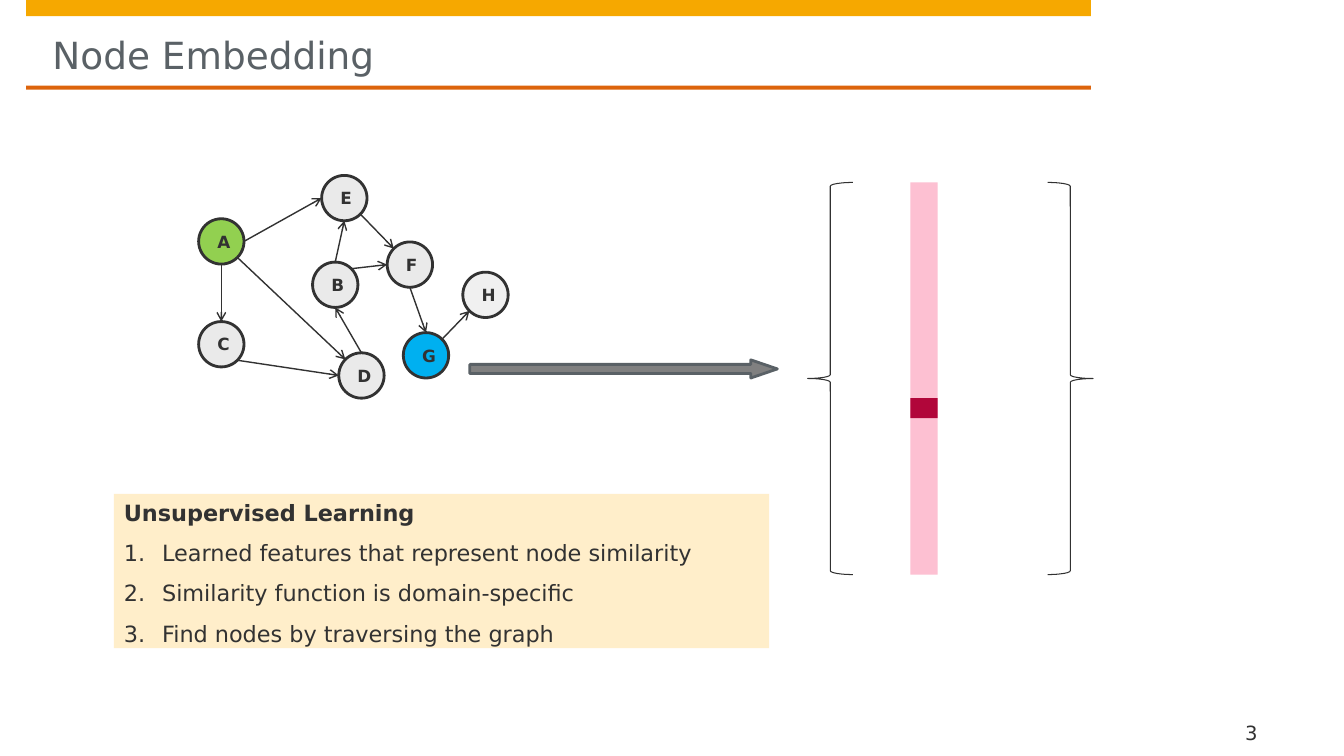
from dataclasses import dataclass

from lxml import etree
from pptx import Presentation
from pptx.dml.color import RGBColor
from pptx.enum import shapes, text
from pptx.oxml import ns
from pptx.util import Inches, Pt


@dataclass(frozen=True)
class Theme:
    font: str = "DejaVu Sans"
    ink: str = "323232"
    title: str = "5A6166"
    band: str = "F6A800"
    rule: str = "DD640C"
    node: str = "EAEAEA"
    node_light: str = "F0F0F0"
    source: str = "92D050"
    target: str = "00B0F0"
    arrow: str = "808080"
    brace: str = "313131"
    vector: str = "FDC0D2"
    feature: str = "B1063A"
    note: str = "FFEECA"
    title_size: float = 26.7
    body_size: float = 16
    number_size: float = 14
    node_size: float = 12


THEME = Theme()
SHAPE = shapes.MSO_SHAPE
NODE_SIZE = 0.45
DIAGONAL = 0.5 ** 0.5
COMPASS = {
    "N": (0, -1), "E": (1, 0), "S": (0, 1), "W": (-1, 0),
    "NE": (DIAGONAL, -DIAGONAL), "SE": (DIAGONAL, DIAGONAL),
    "SW": (-DIAGONAL, DIAGONAL), "NW": (-DIAGONAL, -DIAGONAL),
}
NODES = {
    "A": (1.97, 2.17, THEME.source),
    "B": (3.1, 2.6, THEME.node),
    "C": (1.97, 3.19, THEME.node),
    "D": (3.36, 3.5, THEME.node),
    "E": (3.19, 1.74, THEME.node),
    "F": (3.84, 2.4, THEME.node),
    "G": (4, 3.3, THEME.target),
    "H": (4.59, 2.7, THEME.node_light),
}
EDGES = [
    ("A", "S", "C", "N"), ("A", "SE", "D", "NW"), ("A", "E", "E", "W"),
    ("B", "N", "E", "S"), ("B", "NE", "F", "W"), ("C", "SE", "D", "W"),
    ("D", "N", "B", "S"), ("E", "SE", "F", "NW"), ("F", "S", "G", "N"),
    ("G", "NE", "H", "SW"),
]
NOTES = [
    "Learned features that represent node similarity",
    "Similarity function is domain-specific",
    "Find nodes by traversing the graph",
]


def rgb(color):
    return RGBColor.from_string(color)


def style_text(p, size, color=THEME.ink, bold=False):
    for r in p.runs:
        r.font.name = THEME.font
        r.font.size = Pt(size)
        r.font.bold = bold
        r.font.color.rgb = rgb(color)


def set_insets(tf, left, top, right, bottom):
    tf.margin_left, tf.margin_top = Inches(left), Inches(top)
    tf.margin_right, tf.margin_bottom = Inches(right), Inches(bottom)


def add_shape(slide, kind, box, fill=None, line=None, width=1):
    sp = slide.shapes.add_shape(kind, *map(Inches, box))
    sp.shadow.inherit = False
    if fill:
        sp.fill.solid()
        sp.fill.fore_color.rgb = rgb(fill)
    else:
        sp.fill.background()
    if line:
        sp.line.color.rgb = rgb(line)
        sp.line.width = Pt(width)
    else:
        sp.line.fill.background()
    return sp


def add_label(slide, words, box, insets, size, color, anchor):
    tf = slide.shapes.add_textbox(*map(Inches, box)).text_frame
    tf.word_wrap = True
    tf.vertical_anchor = anchor
    set_insets(tf, *insets)
    tf.text = words
    style_text(tf.paragraphs[0], size, color)


def add_node(slide, name):
    left, top, fill = NODES[name]
    sp = add_shape(slide, SHAPE.OVAL, (left, top, NODE_SIZE, NODE_SIZE), fill, THEME.ink, 2)
    tf = sp.text_frame
    tf.word_wrap = True
    tf.vertical_anchor = text.MSO_ANCHOR.MIDDLE
    set_insets(tf, 0.12, 0.08, 0.12, 0.08)
    tf.text = name
    p = tf.paragraphs[0]
    p.alignment = text.PP_ALIGN.CENTER
    style_text(p, THEME.node_size, bold=True)


def node_point(name, side):
    left, top, _ = NODES[name]
    dx, dy = COMPASS[side]
    radius = NODE_SIZE / 2
    return Inches(left + radius * (1 + dx)), Inches(top + radius * (1 + dy))


def add_edge(slide, start, start_side, end, end_side):
    line = slide.shapes.add_connector(
        shapes.MSO_CONNECTOR.STRAIGHT,
        *node_point(start, start_side), *node_point(end, end_side))
    line.line.color.rgb = rgb(THEME.ink)
    line.line.width = Pt(1)
    etree.SubElement(line.line._get_or_add_ln(), ns.qn("a:tailEnd"), type="arrow")
    etree.SubElement(line._element.spPr, ns.qn("a:effectLst"))


def add_brace(slide, left, rotation):
    sp = add_shape(slide, SHAPE.LEFT_BRACE, (left, 1.81, 0.45, 3.89), None, THEME.brace, 0.75)
    sp.rotation = rotation


def add_notes_box(slide, heading, items):
    sp = add_shape(slide, SHAPE.RECTANGLE, (1.13, 4.9, 6.5, 1.53), THEME.note)
    tf = sp.text_frame
    tf.word_wrap = True
    tf.vertical_anchor = text.MSO_ANCHOR.TOP
    tf.text = heading
    p = tf.paragraphs[0]
    p.alignment = text.PP_ALIGN.LEFT
    style_text(p, THEME.body_size, bold=True)
    for item in items:
        p = tf.add_paragraph()
        p.text = item
        pPr = p._p.get_or_add_pPr()
        pPr.set("marL", str(Inches(0.38)))
        pPr.set("indent", str(-Inches(0.38)))
        etree.SubElement(pPr, ns.qn("a:buFont"), typeface="+mj-lt")
        etree.SubElement(pPr, ns.qn("a:buAutoNum"), type="arabicPeriod")
        p.alignment = text.PP_ALIGN.LEFT
        p.line_spacing = 1.5
        style_text(p, THEME.body_size)


def main():
    prs = Presentation()
    prs.slide_width, prs.slide_height = Inches(13.33), Inches(7.5)
    slide = prs.slides.add_slide(prs.slide_layouts[6])

    add_shape(slide, SHAPE.RECTANGLE, (0.26, 0, 10.56, 0.16), THEME.band)
    add_shape(slide, SHAPE.RECTANGLE, (0.26, 0.85, 10.56, 0.04), THEME.rule)
    add_label(slide, "Node Embedding", (0.52, 0.16, 10.03, 0.61), (0, 0.16, 0, 0),
              THEME.title_size, THEME.title, text.MSO_ANCHOR.TOP)
    add_label(slide, "3", (12.23, 7.09, 0.84, 0.29), (0.12, 0, 0, 0),
              THEME.number_size, THEME.ink, text.MSO_ANCHOR.BOTTOM)

    for name in NODES:
        add_node(slide, name)
    for edge in EDGES:
        add_edge(slide, *edge)

    arrow = add_shape(slide, SHAPE.RIGHT_ARROW, (4.66, 3.57, 3.05, 0.18),
                      THEME.arrow, THEME.title, 2)
    arrow.adjustments[1] = 1.46

    add_shape(slide, SHAPE.RECTANGLE, (9.03, 1.81, 0.27, 3.89), THEME.vector)
    add_brace(slide, 8.01, 0)
    add_brace(slide, 10.39, 180)
    add_shape(slide, SHAPE.RECTANGLE, (9.03, 3.95, 0.27, 0.2), THEME.feature)
    add_notes_box(slide, "Unsupervised Learning", NOTES)

    prs.save("out.pptx")


if __name__ == "__main__":
    main()
